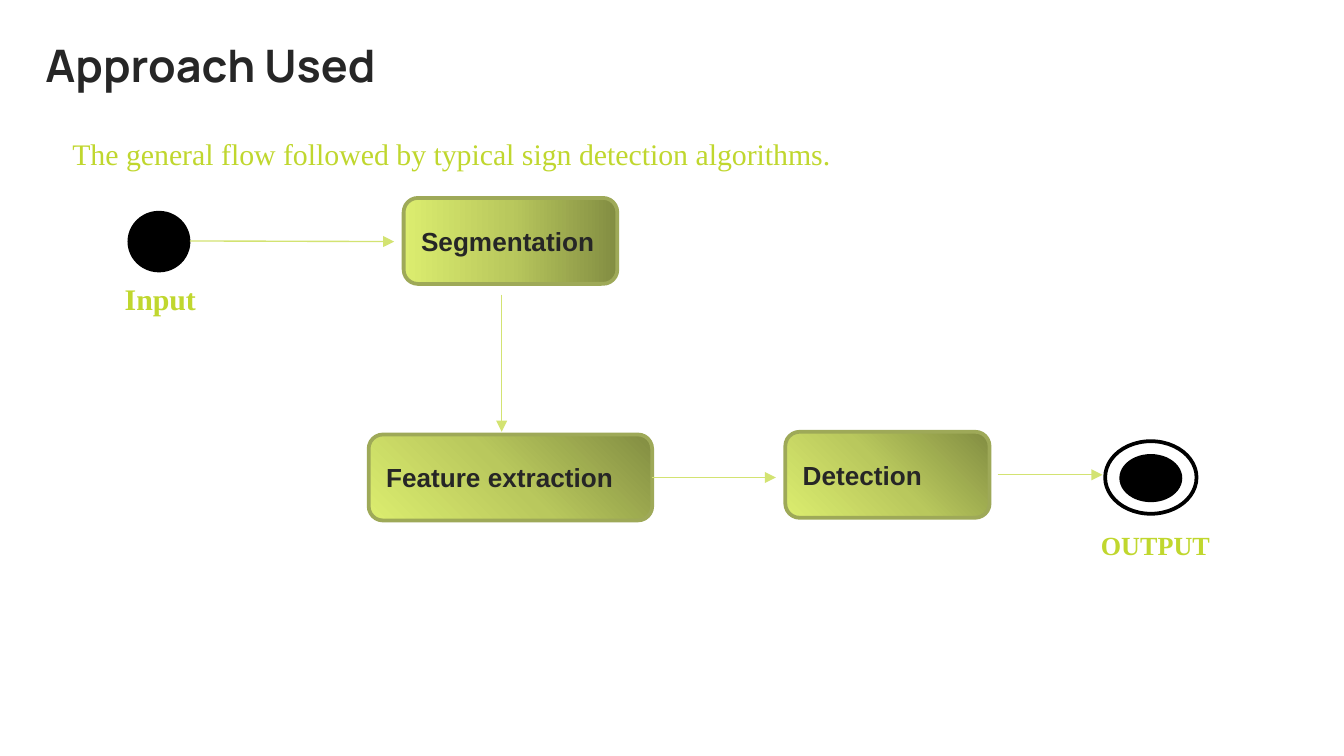
from copy import deepcopy
from pptx import Presentation
from pptx import util as u
from pptx.dml.color import RGBColor
from pptx.enum import shapes, text
from pptx.oxml.ns import qn
from lxml import etree

# Grid: 100 columns by 56.25 rows, each a tenth of an inch
UNIT = u.Inches(0.1)
INK, LIME, ARROW, EDGE = "262626", "C0D72E", "D3E372", "9EA958"
SHADES = (0, "828D42"), (0.5, "B9C85D"), (1, "DCED6F")
SERIF = "Times New Roman"


def grid(*cells):
    return [round(c * UNIT) for c in cells]


def color(code):
    return RGBColor.from_string(code)


def write(frame, words, size=14, font="Arial", tint=INK, bold=True,
          anchor=text.MSO_ANCHOR.TOP, inset=None, indent=0, gap=0):
    frame.word_wrap = True
    frame.vertical_anchor = anchor
    if inset is not None:
        frame.margin_left = frame.margin_right = u.Inches(inset)
        frame.margin_top = frame.margin_bottom = u.Inches(inset)
    para = frame.paragraphs[0]
    if para.runs:
        para = frame.add_paragraph()
        para.space_before = u.Pt(gap)
    para.alignment = text.PP_ALIGN.LEFT
    if indent:
        para._p.get_or_add_pPr().set("marL", str(round(indent * UNIT)))
    run = para.add_run()
    run.text = words
    run.font.size = u.Pt(size)
    run.font.name = font
    run.font.bold = bold
    run.font.color.rgb = color(tint)


def label(slide, box, words, **style):
    frame = slide.shapes.add_textbox(*grid(*box)).text_frame
    write(frame, words, **style)
    return frame


def shape(slide, kind, box, edge):
    item = slide.shapes.add_shape(kind, *grid(*box))
    item.shadow.inherit = False
    item.line.color.rgb = color(edge)
    item.line.width = u.Pt(2)
    return item


def disc(slide, box, fill):
    item = shape(slide, shapes.MSO_SHAPE.OVAL, box, "000000")
    item.fill.solid()
    item.fill.fore_color.rgb = color(fill)


def step(slide, box, words, angle=225):
    item = shape(slide, shapes.MSO_SHAPE.ROUNDED_RECTANGLE, box, EDGE)
    item.fill.gradient()
    item.fill.gradient_angle = angle
    # The default gradient has two stops; add a middle one
    stops = item._element.spPr.find(".//" + qn("a:gsLst"))
    stops.insert(1, deepcopy(stops[0]))
    for stop, (place, tint) in zip(item.fill.gradient_stops, SHADES):
        stop.position = place
        stop.color.rgb = color(tint)
    write(item.text_frame, words, anchor=text.MSO_ANCHOR.MIDDLE)
    return item


def arrow(slide, start, end, source=None):
    link = slide.shapes.add_connector(
        shapes.MSO_CONNECTOR.STRAIGHT, *grid(*start, *end))
    if source is not None:
        link.begin_connect(source, 3)
    link.line.color.rgb = color(ARROW)
    link.line.width = u.Pt(0.75)
    etree.SubElement(link.line._get_or_add_ln(), qn("a:tailEnd"),
                     type="triangle")
    etree.SubElement(link._element.spPr, qn("a:effectLst"))


def header(slide, x, y):
    label(slide, (x, y, 29.4, 5.2), "Approach Used",
          size=24, font="Manrope", inset=0.1)


def intro(slide, x, y):
    # Lead sentence, with the caption of the input disc below it
    style = dict(size=16, font=SERIF, tint=LIME)
    frame = label(
        slide, (x, y, 67, 14.5),
        "The general flow followed by typical sign detection algorithms.",
        bold=False, indent=4.4, **style)
    write(frame, "Input", indent=8.3, gap=58.7, **style)


def flow(slide, x, y):
    # Input
    disc(slide, (x, y + 1.1, 4.4, 4.3), "000000")
    arrow(slide, (x + 4.5, y + 3.2), (x + 19.7, y + 3.25))

    # Steps
    high, low = 6.4, y + 17.4
    step(slide, (x + 20.4, y, 15.9, high), "Segmentation", angle=180)
    arrow(slide, (x + 27.7, y + 7.2), (x + 27.7, low))
    pick = step(slide, (x + 17.8, low + 0.2, 21.1, high),
                "Feature extraction")
    mid = low + 0.2 + high / 2
    arrow(slide, (x + 38.9, mid), (x + 48.1, mid), source=pick)
    step(slide, (x + 48.8, low, 15.2, high), "Detection")
    arrow(slide, (x + 64.6, low + high / 2), (x + 72.4, low + high / 2))

    # Output
    disc(slide, (x + 72.6, low + 0.7, 6.8, 5.4), "FFFFFF")
    disc(slide, (x + 73.8, low + 1.8, 4.4, 3.3), "000000")
    label(slide, (x + 71.3, low + 6.8, 12.3, 3.4), "OUTPUT",
          font=SERIF, tint=LIME)


def main():
    deck = Presentation()
    deck.slide_width, deck.slide_height = grid(100, 56.25)
    slide = deck.slides.add_slide(deck.slide_layouts[6])
    header(slide, 2.4, 1.8)
    intro(slide, 0, 9.6)
    flow(slide, 9.63, 14.73)
    deck.save("out.pptx")


if __name__ == "__main__":
    main()
